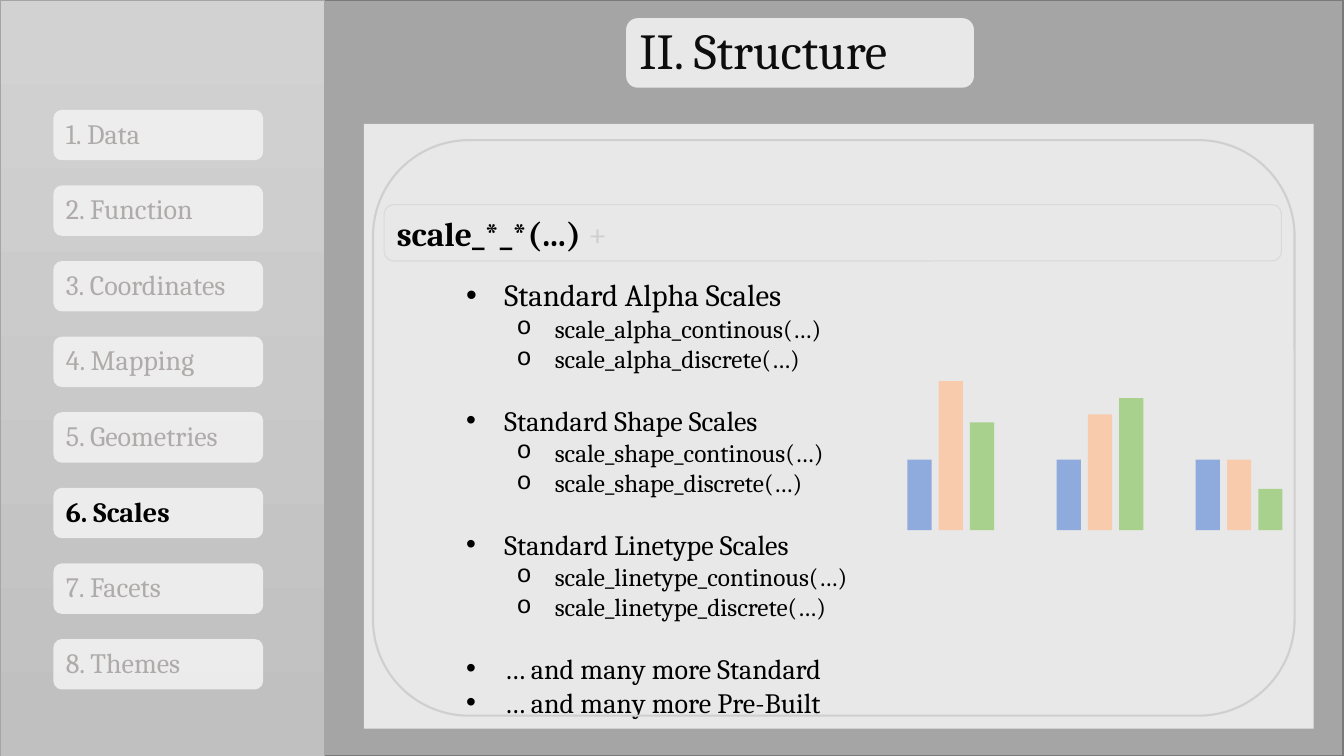
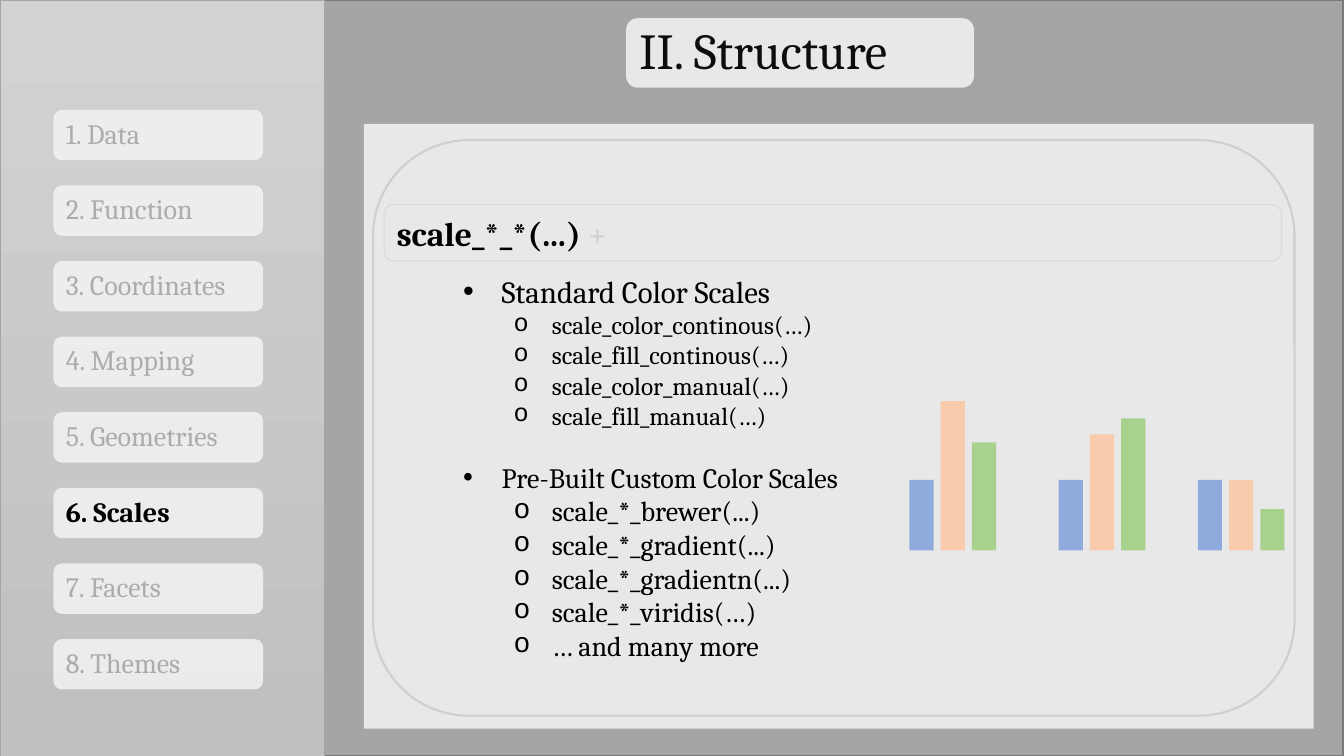
from lxml import etree
from pptx import Presentation
from pptx.dml.color import RGBColor
from pptx.enum.shapes import MSO_SHAPE
from pptx.enum.text import MSO_ANCHOR, PP_ALIGN
from pptx.oxml.ns import qn
from pptx.util import Inches, Pt

RECT, ROUND = MSO_SHAPE.RECTANGLE, MSO_SHAPE.ROUNDED_RECTANGLE
LEFT, MIDDLE = PP_ALIGN.LEFT, MSO_ANCHOR.MIDDLE

FONT = "Cambria"
BLACK, INK, MUTED, PALE = "000000", "0D0D0D", "AFABAB", "D0CECE"
BACK, EDGE, PANEL, RULE = "A5A5A5", "7A7A7A", "F2F2F2", "D9D9D9"
SHADE = ("D2D2D2", "C0C0C0")
OPACITY = 88
BARS = ("8FAADC", "F8CBAD", "A9D18E")

TITLE = "II. Structure"
STEPS = ["Data", "Function", "Coordinates", "Mapping",
         "Geometries", "Scales", "Facets", "Themes"]
ACTIVE = "Scales"
CODE = [("scale_*_*(…) ", BLACK, True), ("+", PALE, False)]

GROUPS = [(9, (0.7, 1.48, 1.07)),
          (10.48, (0.7, 1.15, 1.31)),
          (11.86, (0.7, 0.7, 0.41))]
BASE, STEP, WIDE = 5.26, 0.31, 0.24

# level, size, gap before, text
SLIDES = [
    {"high": 5.03, "shift": (0, 0), "items": [
        (0, 22, 0, "Standard Alpha Scales"),
        (1, 18, 0, "scale_alpha_continous(…)"),
        (1, 18, 0, "scale_alpha_discrete(…)"),
        (0, 20, 1, "Standard Shape Scales"),
        (1, 18, 0, "scale_shape_continous(…)"),
        (1, 18, 0, "scale_shape_discrete(…)"),
        (0, 20, 1, "Standard Linetype Scales"),
        (1, 18, 0, "scale_linetype_continous(…)"),
        (1, 18, 0, "scale_linetype_discrete(…)"),
        (0, 20, 1, "… and many more Standard"),
        (0, 20, 0, "… and many more Pre-Built")]},
    {"high": 4.43, "shift": (0.02, 0.2), "items": [
        (0, 22, 0, "Standard Color Scales"),
        (1, 18, 0, "scale_color_continous(…)"),
        (1, 18, 0, "scale_fill_continous(…)"),
        (1, 18, 0, "scale_color_manual(…)"),
        (1, 18, 0, "scale_fill_manual(…)"),
        (0, 20, 1, "Pre-Built Custom Color Scales"),
        (1, 20, 0, "scale_*_brewer(...)"),
        (1, 20, 0, "scale_*_gradient(...)"),
        (1, 20, 0, "scale_*_gradientn(...)"),
        (1, 20, 0, "scale_*_viridis(…)"),
        (1, 20, 0, "… and many more")]},
]
BULLETS = [("•", "Arial", 0.38), ("o", "Courier New", 0.88)]
HANG, GAP = 0.38, 21.4


def color(code):
    return RGBColor.from_string(code)


def apply(item, values):
    for name, value in values.items():
        setattr(item, name, value)


def add_box(slide, kind, at, fill=None, line=None, alpha=None):
    box = slide.shapes.add_shape(kind, *map(Inches, at))
    box.shadow.inherit = False
    if fill:
        box.fill.solid()
        box.fill.fore_color.rgb = color(fill)
    else:
        box.fill.background()
    if alpha:
        tone = box.fill._xPr.find(".//" + qn("a:srgbClr"))
        etree.SubElement(tone, qn("a:alpha"), val=str(alpha * 1000))
    if line:
        box.line.color.rgb = color(line[0])
        box.line.width = Pt(line[1])
    else:
        box.line.fill.background()
    apply(box.text_frame, {"word_wrap": True, "vertical_anchor": MIDDLE})
    return box


def add_run(para, text, size, tone=BLACK, bold=False):
    para.alignment = LEFT
    run = para.add_run()
    run.text = text
    apply(run.font, {"name": FONT, "size": Pt(size), "bold": bold})
    run.font.color.rgb = color(tone)


def add_label(slide, at, text, size, tone, bold=False):
    box = add_box(slide, ROUND, at, PANEL, alpha=OPACITY)
    para = box.text_frame.paragraphs[0]
    para.line_spacing = 0.9
    add_run(para, text, size, tone, bold)


def add_frame(slide):
    add_box(slide, RECT, (3.21, 0, 10.11, 7.5), BACK, (EDGE, 1))
    side = add_box(slide, RECT, (0, 0, 3.22, 7.5), BACK, (BACK, 0.5))
    side.fill.gradient()
    side.fill.gradient_angle = 270
    for stop, tone in zip(side.fill.gradient_stops, SHADE):
        stop.color.rgb = color(tone)
    add_label(slide, (6.21, 0.18, 3.45, 0.69), TITLE, 36, INK)
    add_box(slide, RECT, (3.61, 1.23, 9.42, 6), PANEL, alpha=OPACITY)


def add_menu(slide):
    for i, step in enumerate(STEPS):
        live = step == ACTIVE
        add_label(slide, (0.53, 1.09 + 0.75 * i, 2.08, 0.5),
                  f"{i + 1}. {step}", 20, BLACK if live else MUTED, live)


def add_list(slide, high, items):
    frame = add_box(slide, ROUND, (4.28, 2.42, 8.9, high)).text_frame
    for i, (level, size, gap, text) in enumerate(items):
        para = frame.add_paragraph() if i else frame.paragraphs[0]
        apply(para, {"level": level, "space_before": Pt(GAP * gap)})
        add_run(para, text, size)
        mark, face, indent = BULLETS[level]
        props = para._p.get_or_add_pPr()
        props.set("marL", str(Inches(indent)))
        props.set("indent", str(-Inches(HANG)))
        etree.SubElement(props, qn("a:buFont"), typeface=face)
        etree.SubElement(props, qn("a:buChar"), char=mark)


def add_code(slide):
    box = add_box(slide, ROUND, (3.81, 2.03, 8.9, 0.56), line=(RULE, 0.75))
    for text, tone, bold in CODE:
        add_run(box.text_frame.paragraphs[0], text, 24, tone, bold)
    add_box(slide, ROUND, (3.7, 1.39, 9.14, 5.71), line=(PALE, 1.5))


def add_bars(slide, shift):
    right, down = shift
    for start, sizes in GROUPS:
        for i, (high, tone) in enumerate(zip(sizes, BARS)):
            at = (start + STEP * i + right, BASE - high + down, WIDE, high)
            add_box(slide, RECT, at, tone)


def main():
    """Build the slides on scales and save them."""
    deck = Presentation()
    apply(deck, {"slide_width": Inches(13.33), "slide_height": Inches(7.5)})
    for page in SLIDES:
        slide = deck.slides.add_slide(deck.slide_layouts[6])
        add_frame(slide)
        add_list(slide, page["high"], page["items"])
        add_menu(slide)
        add_code(slide)
        add_bars(slide, page["shift"])
    deck.save("out.pptx")


if __name__ == "__main__":
    main()
